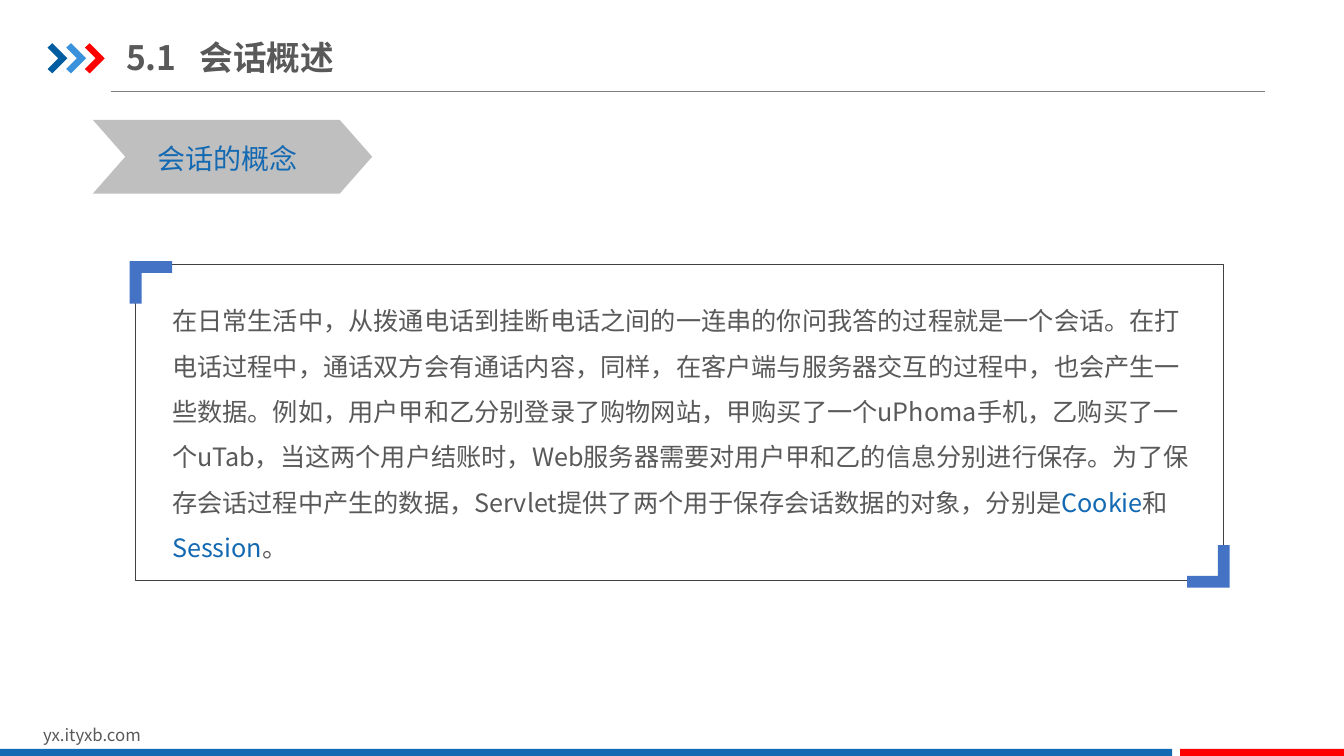
from lxml import etree
from pptx import Presentation, util as u
from pptx.dml.color import RGBColor
from pptx.enum import shapes, text
from pptx.oxml import ns

FONT = "Noto Sans CJK SC"
COLORS = {
    "text": "595959", "blue": "1369B2", "red": "FF0000", "navy": "005DA2",
    "sky": "3992DB", "grey": "BFBFBF", "rule": "808080", "frame": "404040",
    "corner": "4472C4",
}
INSETS = (0.25, 0.13, 0.25, 0.13)
BODY = [
    ("在日常生活中，从拨通电话到挂断电话之间的一连串的你问我答的过程就是一个会话。"
     "在打电话过程中，通话双方会有通话内容，同样，在客户端与服务器交互的过程中，"
     "也会产生一些数据。例如，用户甲和乙分别登录了购物网站，甲购买了一个uPhoma手机，"
     "乙购买了一个uTab，当这两个用户结账时，Web服务器需要对用户甲和乙的信息分别进行保存。"
     "为了保存会话过程中产生的数据，Servlet提供了两个用于保存会话数据的对象，分别是", "text"),
    ("Cookie", "blue"), ("和", "text"), ("Session", "blue"), ("。", "text"),
]


def rgb(name):
    return RGBColor.from_string(COLORS[name])


def cm(*values):
    return [u.Cm(v) for v in values]


def write(s, runs, size, color="text", bold=False, spacing=None, tab=None,
          wrap=True, anchor=text.MSO_ANCHOR.TOP, insets=INSETS,
          fit=text.MSO_AUTO_SIZE.NONE):
    """Fill a shape with one paragraph: a string, or (string, colour) runs."""
    tf = s.text_frame
    tf.word_wrap, tf.auto_size, tf.vertical_anchor = wrap, fit, anchor
    tf.margin_left, tf.margin_top, tf.margin_right, tf.margin_bottom = cm(*insets)
    p = tf.paragraphs[0]
    p.alignment = text.PP_ALIGN.LEFT
    if spacing:
        p.line_spacing = spacing
    if tab:
        stops = etree.SubElement(p._p.get_or_add_pPr(), ns.qn("a:tabLst"))
        etree.SubElement(stops, ns.qn("a:tab"), pos=str(u.Cm(tab)), algn="l")
    for words, hue in [(runs, color)] if isinstance(runs, str) else runs:
        r = p.add_run()
        r.text = words
        r.font.size, r.font.bold, r.font.name = u.Pt(size), bold, FONT
        r.font.color.rgb = rgb(hue)
        etree.SubElement(r._r.get_or_add_rPr(), ns.qn("a:ea"), typeface=FONT)


def add_text(slide, box, runs, size, **fmt):
    write(slide.shapes.add_textbox(*cm(*box)), runs, size, **fmt)


def paint(s, fill=None, line=None, width=0.25):
    s.shadow.inherit = False
    if fill:
        s.fill.solid()
        s.fill.fore_color.rgb = rgb(fill)
    else:
        s.fill.background()
    if line:
        s.line.color.rgb = rgb(line)
        s.line.width = u.Pt(width)
    else:
        s.line.fill.background()


def add_preset(slide, kind, box, adjust=None, **look):
    s = slide.shapes.add_shape(kind, *cm(*box))
    if adjust is not None:
        s.adjustments[0] = adjust
    paint(s, **look)


def add_outline(slide, x, y, points, fill, sign=1):
    """Draw a closed outline from offsets; sign -1 turns it by 180 degrees."""
    pts = [cm(x + sign * dx, y + sign * dy) for dx, dy in points]
    builder = slide.shapes.build_freeform(*pts[0], scale=1.0)
    builder.add_line_segments(pts[1:], close=True)
    paint(builder.convert_to_shape(), fill=fill)


def add_rule(slide, x1, x2, y):
    s = slide.shapes.add_connector(shapes.MSO_CONNECTOR.STRAIGHT, *cm(x1, y, x2, y))
    s.line.color.rgb = rgb("rule")
    s.line.width = u.Pt(0.5)
    etree.SubElement(s._element.spPr, ns.qn("a:effectLst"))


def main():
    prs = Presentation()
    prs.slide_width, prs.slide_height = cm(33.87, 19.05)
    slide = prs.slides.add_slide(prs.slide_layouts[5])
    kinds = shapes.MSO_SHAPE

    # Header: rule, three arrows and title
    add_rule(slide, 2.79, 31.88, 2.31)
    arrow = [(0, 0.11), (0.12, 0), (0.5, 0.38), (0.12, 0.76), (0, 0.65), (0.27, 0.38)]
    for i, hue in enumerate(("navy", "sky", "red")):
        add_outline(slide, 1.2 + 0.47 * i, 1.09, arrow, hue)
    title = slide.shapes.title
    title.left, title.top, title.width, title.height = cm(3.18, 0.74, 7.42, 1.4)
    write(title, "5.1\t会话概述", 24, bold=True, tab=1.85,
          anchor=text.MSO_ANCHOR.MIDDLE, insets=(0, 0.18, 0, 0.18))

    # Footer: address and colour bars
    add_text(slide, (0.84, 18.14, 8.08, 0.77), "yx.ityxb.com", 12,
             fit=text.MSO_AUTO_SIZE.SHAPE_TO_FIT_TEXT)
    for x, width, hue in ((0, 29.54, "blue"), (29.74, 4.13, "red")):
        add_preset(slide, kinds.RECTANGLE, (x, 18.87, width, 0.22), fill=hue)

    # Section label
    add_preset(slide, kinds.CHEVRON, (2.34, 3.02, 7.04, 1.86), adjust=0.44, fill="grey")
    add_text(slide, (3.71, 3.43, 4.06, 1.12), "会话的概念", 20, color="blue",
             wrap=False, fit=text.MSO_AUTO_SIZE.SHAPE_TO_FIT_TEXT)

    # Framed paragraph with corner marks
    add_text(slide, (4.09, 7.19, 26.14, 7.06), BODY, 18, spacing=1.5)
    add_preset(slide, kinds.ROUNDED_RECTANGLE, (3.41, 6.66, 27.41, 7.95),
               adjust=0, line="frame")
    corner = [(0, 0), (1.07, 0), (1.07, 0.3), (0.3, 0.3), (0.3, 1.07), (0, 1.07)]
    for x, y, sign in ((3.27, 6.58, 1), (30.99, 14.81, -1)):
        add_outline(slide, x, y, corner, "corner", sign)

    prs.save("out.pptx")


if __name__ == "__main__":
    main()
